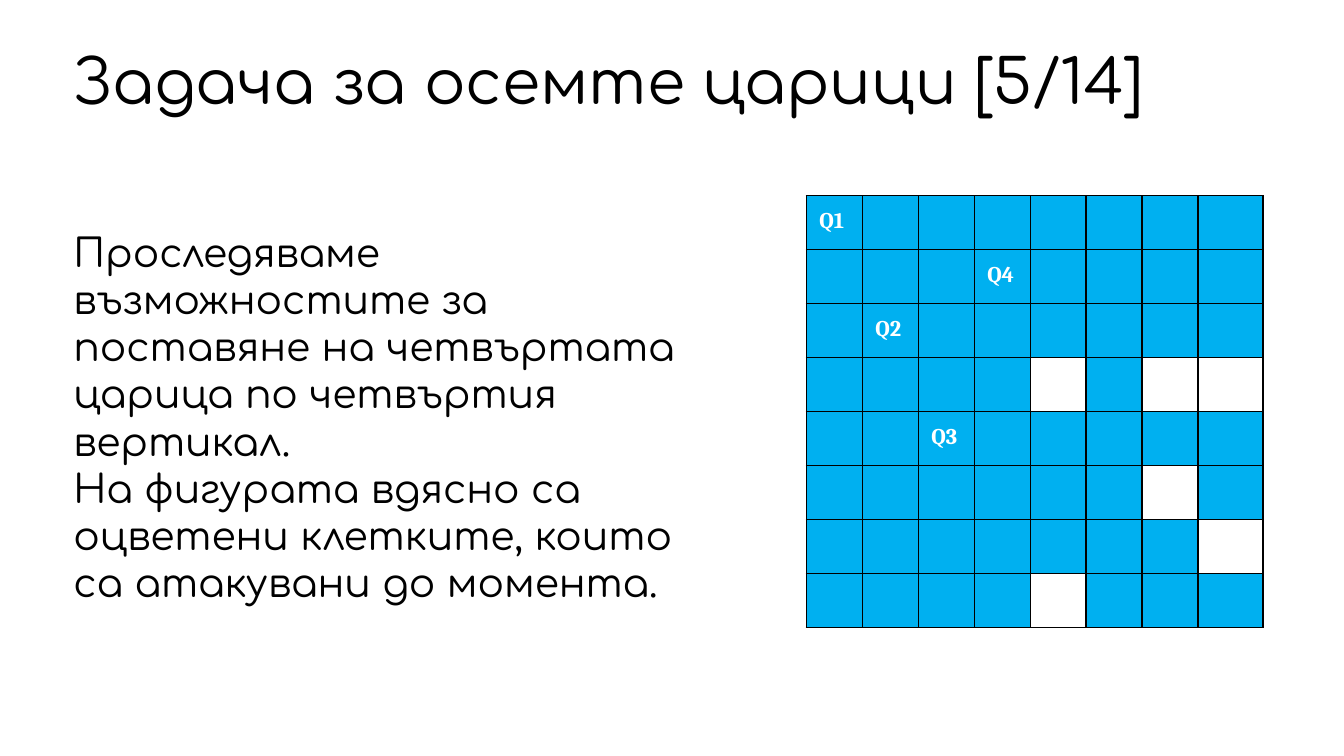
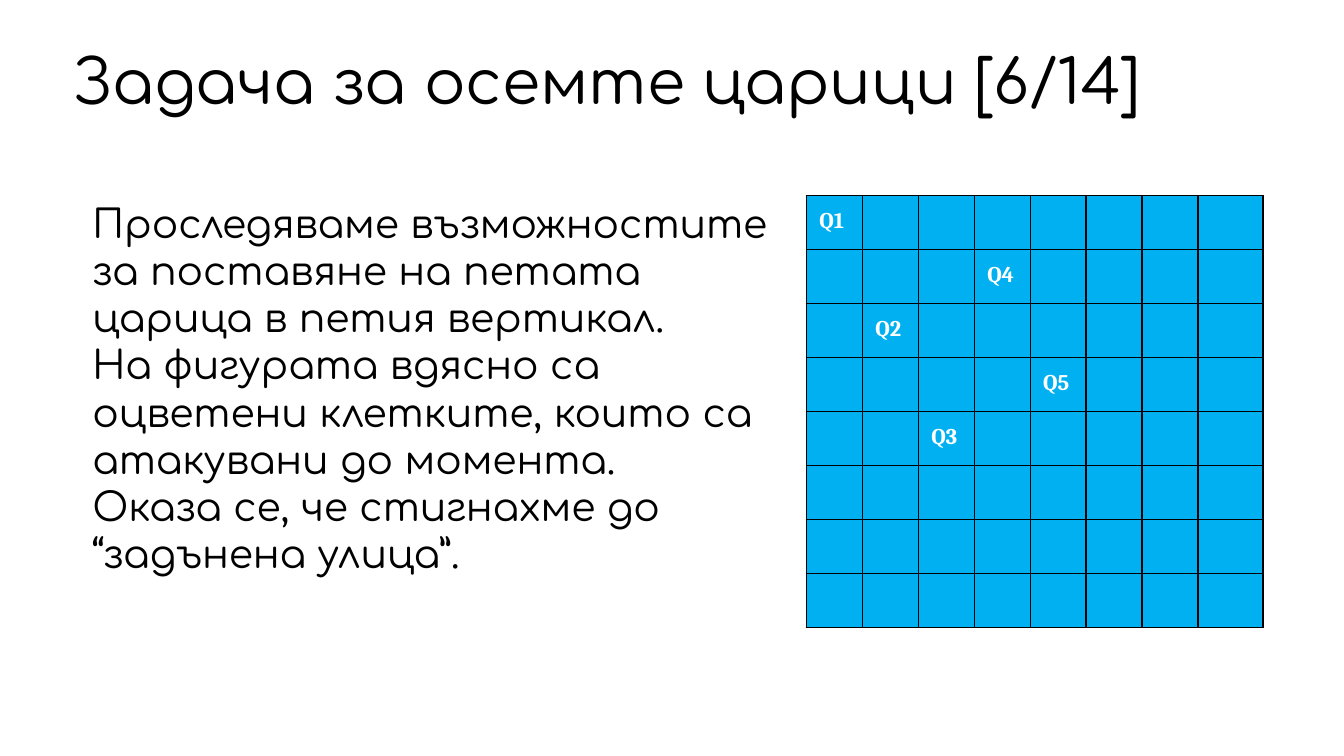
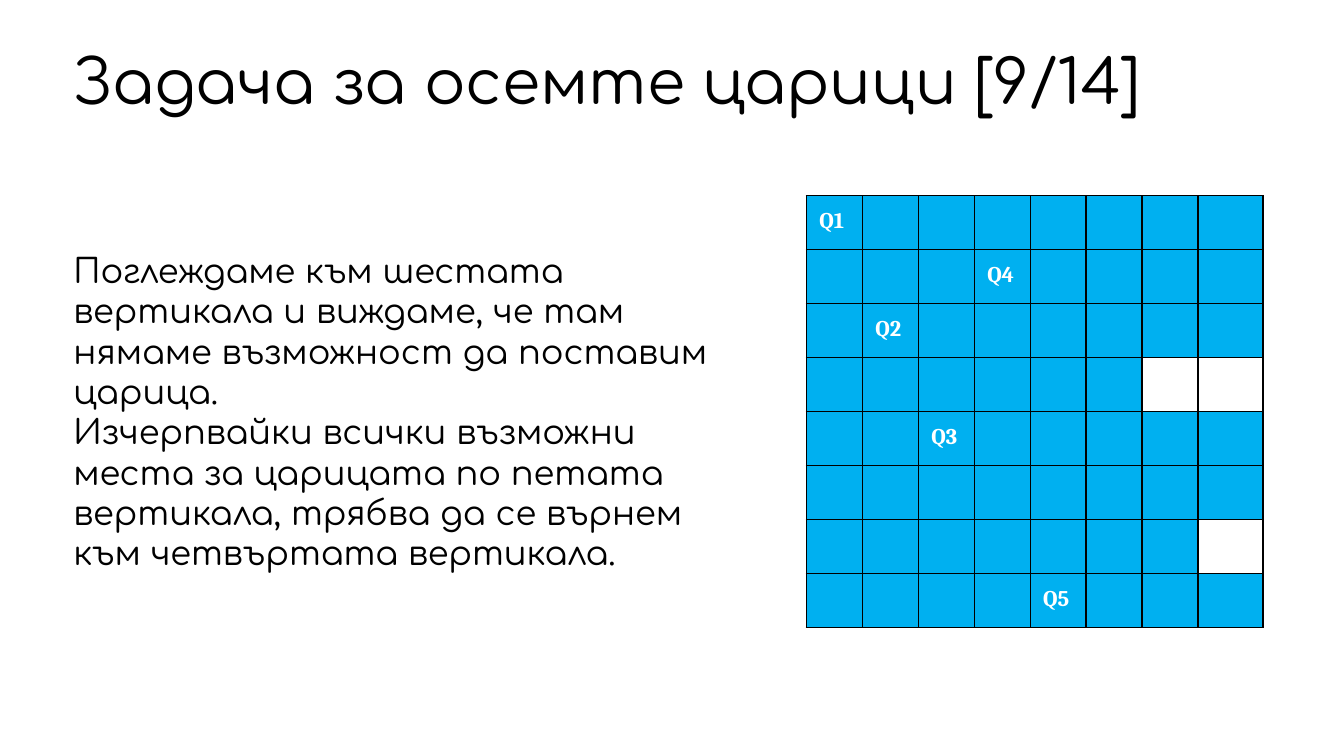
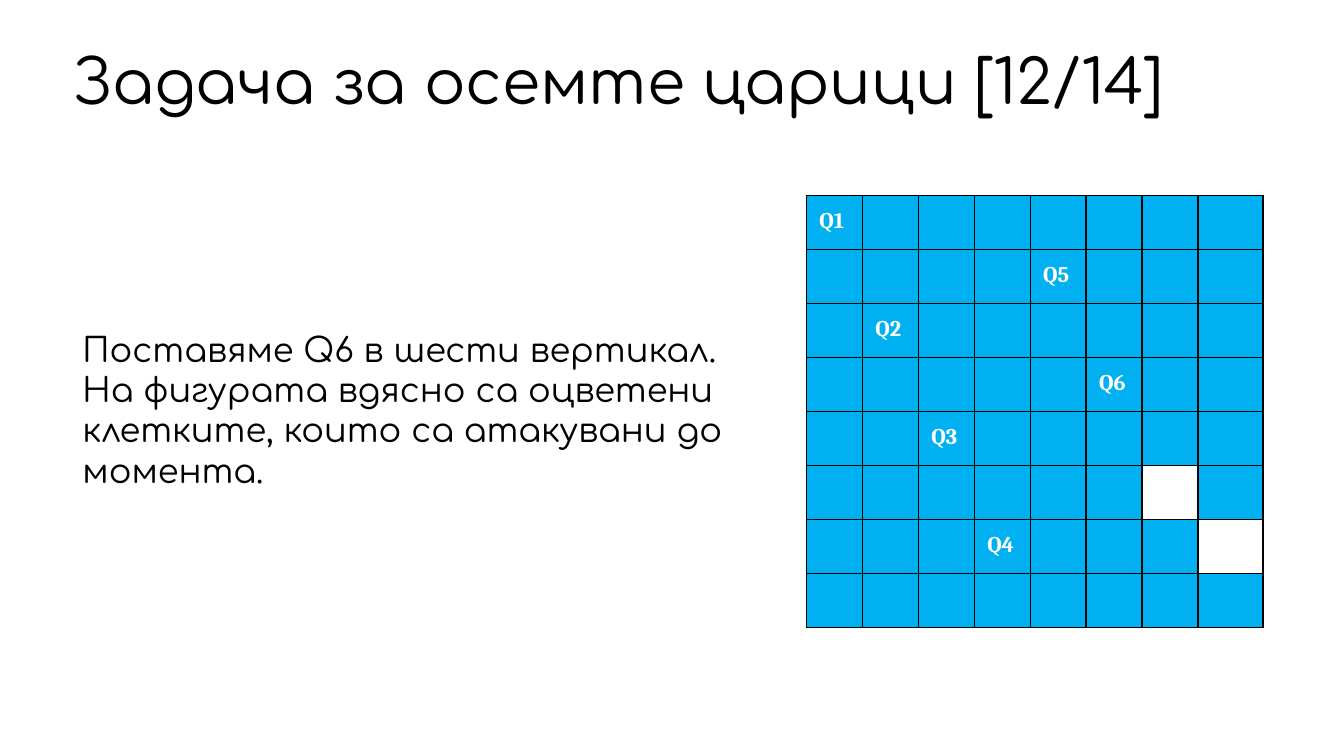
"""Builds four slides that follow the search for a solution to the eight queens problem."""
import pptx
import pptx.dml.color
import pptx.enum.text
import pptx.oxml
import pptx.oxml.ns
import pptx.util

Cm = pptx.util.Cm
Pt = pptx.util.Pt
ANCHOR = pptx.enum.text.MSO_ANCHOR

COLOURS = {"ink": "000000", "paper": "FFFFFF", "attacked": "00B0F0"}
TEXT_FONT = "Comfortaa"
QUEEN_FONT = "Cambria"
BOARD_SIZE = 8
ATTACKED_NOTE = "На фигурата вдясно са оцветени клетките, които са атакувани до момента."

STEPS = [
    {
        "number": 5,
        "box": (1.55, 5.66, 16.2, 11.3),
        "size": 28,
        "explanation": [
            "Проследяваме възможностите за поставяне на четвъртата царица по четвъртия вертикал.",
            ATTACKED_NOTE,
        ],
        "queen_rows": [0, 2, 4, 1],
        "free": {(3, 4), (3, 6), (3, 7), (5, 6), (6, 7), (7, 4)},
    },
    {
        "number": 6,
        "box": (2.03, 4.93, 17.63, 11.48),
        "size": 28,
        "explanation": [
            "Проследяваме възможностите за поставяне на петата царица в петия вертикал.",
            ATTACKED_NOTE,
            "Оказа се, че стигнахме до “задънена улица”.",
        ],
        "queen_rows": [0, 2, 4, 1, 3],
        "free": set(),
    },
    {
        "number": 9,
        "box": (1.55, 6.2, 16.89, 10.57),
        "size": 24,
        "explanation": [
            "Поглеждаме към шестата вертикала и виждаме, че там нямаме възможност да поставим царица.",
            "Изчерпвайки всички възможни места за царицата по петата вертикала, "
            "трябва да се върнем към четвъртата вертикала.",
        ],
        "queen_rows": [0, 2, 4, 1, 7],
        "free": {(3, 6), (3, 7), (6, 7)},
    },
    {
        "number": 12,
        "box": (1.78, 8.18, 16.87, 4.8),
        "size": 24,
        "explanation": ["Поставяме Q6 в шести вертикал.", ATTACKED_NOTE],
        "queen_rows": [0, 2, 4, 6, 1, 3],
        "free": {(5, 6), (6, 7)},
    },
]


def rgb(name):
    return pptx.dml.color.RGBColor.from_string(COLOURS[name])


def write(frame, paragraphs, font=TEXT_FONT, size=28, colour="ink", bold=False, spacing=None):
    for index, words in enumerate(paragraphs):
        paragraph = frame.add_paragraph() if index else frame.paragraphs[0]
        paragraph.line_spacing = spacing
        run = paragraph.add_run()
        run.text = words
        run.font.name = font
        run.font.size = Pt(size)
        run.font.bold = bold
        run.font.color.rgb = rgb(colour)


class QueensDeck:
    def __init__(self):
        self.presentation = pptx.Presentation()
        self.presentation.slide_width = Cm(33.87)
        self.presentation.slide_height = Cm(19.05)
        self.slide = None

    def add_slide(self, number):
        self.slide = self.presentation.slides.add_slide(self.presentation.slide_layouts[6])
        self.add_text((1.55, 1.07, 30.78, 2.13), [f"Задача за осемте царици [{number}/14]"],
                      anchor=ANCHOR.MIDDLE, size=44, spacing=0.9)

    def add_text(self, box, paragraphs, anchor=ANCHOR.TOP, **style):
        frame = self.slide.shapes.add_textbox(*map(Cm, box)).text_frame
        frame.word_wrap = True
        frame.vertical_anchor = anchor
        frame.margin_left = frame.margin_right = Cm(0.3)
        frame.margin_top = frame.margin_bottom = Cm(0.1)
        write(frame, paragraphs, **style)

    def add_board(self, queen_rows, free):
        square_width, last_width, square_height = Cm(1.41), Cm(1.64), Cm(1.36)
        board = self.slide.shapes.add_table(
            BOARD_SIZE, BOARD_SIZE, Cm(20.32), Cm(4.93),
            square_width * (BOARD_SIZE - 1) + last_width, square_height * BOARD_SIZE).table
        board.first_row = board.horz_banding = False
        for column in board.columns:
            column.width = square_width
        board.columns[BOARD_SIZE - 1].width = last_width
        for row in range(BOARD_SIZE):
            board.rows[row].height = square_height
            for column in range(BOARD_SIZE):
                square = board.cell(row, column)
                self.outline(square)
                if (row, column) in free:
                    square.fill.background()
                else:
                    square.fill.solid()
                    square.fill.fore_color.rgb = rgb("attacked")
        for column, row in enumerate(queen_rows):
            self.add_queen(board.cell(row, column), column + 1)

    def add_queen(self, square, number):
        square.margin_left = square.margin_right = Cm(0.33)
        square.margin_top = square.margin_bottom = Cm(0.33)
        write(square.text_frame, [f"Q{number}"], font=QUEEN_FONT, size=16, colour="paper", bold=True)

    def outline(self, square):
        properties = square._tc.get_or_add_tcPr()
        for side in ("lnL", "lnR", "lnT", "lnB"):
            properties.append(pptx.oxml.parse_xml(
                f'<a:{side} {pptx.oxml.ns.nsdecls("a")} w="{Pt(1)}"><a:solidFill>'
                f'<a:srgbClr val="{COLOURS["ink"]}"/></a:solidFill></a:{side}>'))


def main():
    deck = QueensDeck()
    for step in STEPS:
        deck.add_slide(step["number"])
        deck.add_text(step["box"], step["explanation"], size=step["size"])
        deck.add_board(step["queen_rows"], step["free"])
    deck.presentation.save("out.pptx")


if __name__ == "__main__":
    main()
